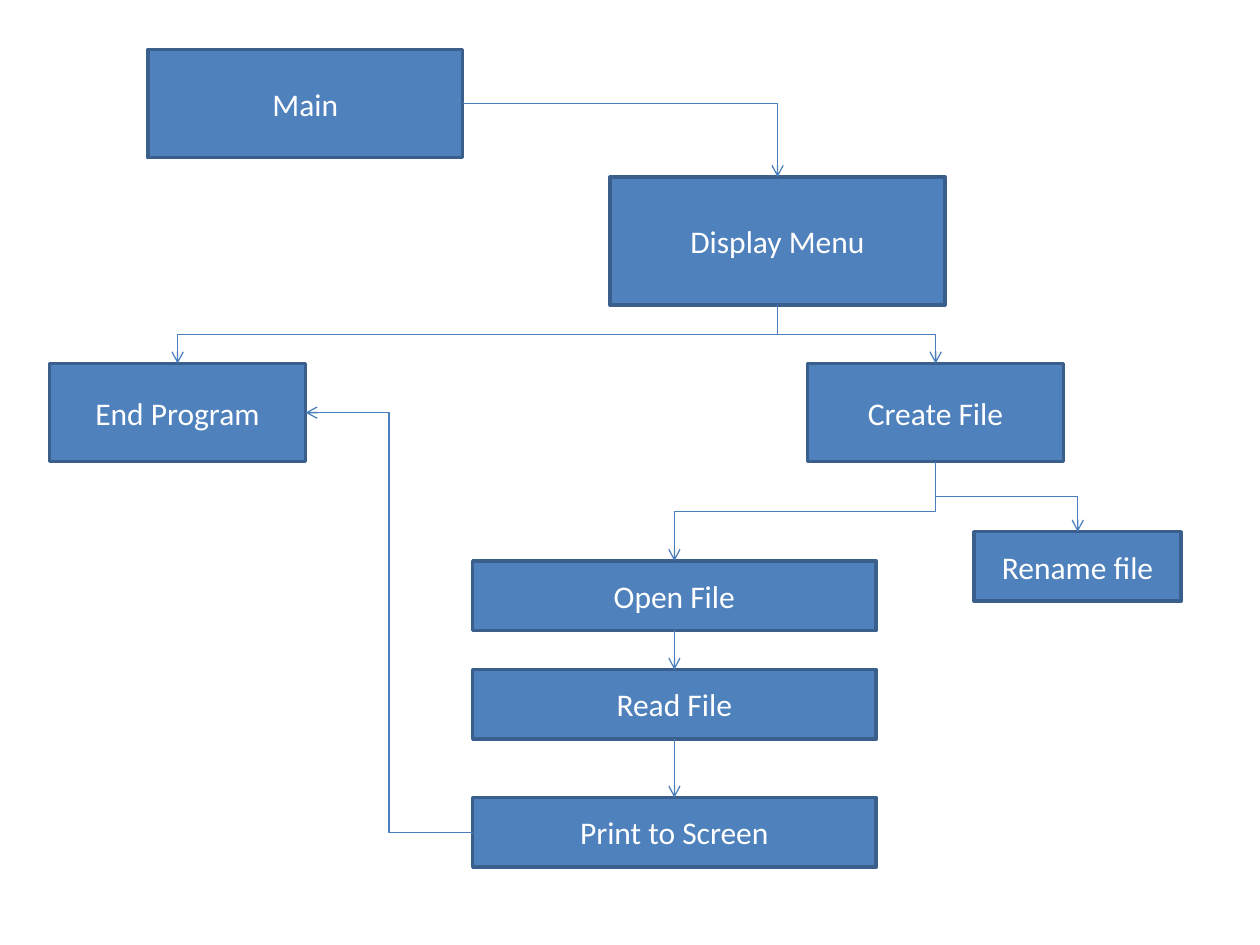
from dataclasses import dataclass

from lxml import etree
from pptx import Presentation
from pptx.dml.color import RGBColor
from pptx.enum.shapes import MSO_CONNECTOR, MSO_SHAPE
from pptx.enum.text import MSO_ANCHOR, PP_ALIGN
from pptx.oxml.ns import qn
from pptx.util import Cm, Pt

RECTANGLE = MSO_SHAPE.RECTANGLE
STRAIGHT, ELBOW = MSO_CONNECTOR.STRAIGHT, MSO_CONNECTOR.ELBOW
MIDDLE, CENTER = MSO_ANCHOR.MIDDLE, PP_ALIGN.CENTER

# Connection sites of a rectangle
TOP, LEFT, BOTTOM, RIGHT = range(4)

FILL, BORDER, ARROW, WHITE = "4F81BD", "3A5F8C", "4B7EBC", "FFFFFF"
FONT_FORMAT = {"name": "Calibri", "size": Pt(18)}
FRAME_FORMAT = {"word_wrap": True, "vertical_anchor": MIDDLE}


@dataclass(frozen=True)
class Step:
    """One box of the chart, in centimetres."""
    text: str
    left: float
    top: float
    width: float
    height: float


@dataclass(frozen=True)
class Link:
    """An arrow between the sites of two steps."""
    source: str
    target: str
    leave: int = BOTTOM
    enter: int = TOP


STACK_LEFT, STACK_WIDTH, LOW = 9.53, 8.13, 1.4
BRANCH_TOP, BRANCH_WIDTH, BRANCH_HEIGHT = 7.33, 5.16, 1.98

STEPS = [
    Step("Main", 2.98, 1.0, 6.35, 2.18),
    Step("Display Menu", 12.3, 3.57, 6.75, 2.58),
    Step("End Program", 1.0, BRANCH_TOP, BRANCH_WIDTH, BRANCH_HEIGHT),
    Step("Create File", 16.28, BRANCH_TOP, BRANCH_WIDTH, BRANCH_HEIGHT),
    Step("Rename file", 19.64, 10.72, 4.17, LOW),
    Step("Open File", STACK_LEFT, 11.31, STACK_WIDTH, LOW),
    Step("Read File", STACK_LEFT, 13.5, STACK_WIDTH, LOW),
    Step("Print to Screen", STACK_LEFT, 16.08, STACK_WIDTH, LOW),
]

LINKS = [
    Link("Main", "Display Menu", leave=RIGHT),
    Link("Display Menu", "Create File"),
    Link("Display Menu", "End Program"),
    Link("Create File", "Open File"),
    Link("Open File", "Read File"),
    Link("Read File", "Print to Screen"),
    Link("Create File", "Rename file"),
    Link("Print to Screen", "End Program", leave=LEFT, enter=RIGHT),
]


def color(value: str) -> RGBColor:
    return RGBColor.from_string(value)


def apply_format(target, values: dict) -> None:
    for name, value in values.items():
        setattr(target, name, value)


def draw_step(page, step: Step):
    box = page.shapes.add_shape(RECTANGLE, Cm(step.left), Cm(step.top),
                                Cm(step.width), Cm(step.height))
    box.shadow.inherit = False
    box.fill.solid()
    box.fill.fore_color.rgb = color(FILL)
    box.line.color.rgb = color(BORDER)
    box.line.width = Pt(2)
    apply_format(box.text_frame, FRAME_FORMAT)
    para = box.text_frame.paragraphs[0]
    para.alignment = CENTER
    span = para.add_run()
    span.text = step.text
    apply_format(span.font, FONT_FORMAT)
    span.font.color.rgb = color(WHITE)
    return box


def turn_downward(connector, run: int, drop: int) -> None:
    """Turn an elbow so that it leaves and arrives vertically."""
    middle_x = (connector.begin_x + connector.end_x) // 2
    middle_y = (connector.begin_y + connector.end_y) // 2
    apply_format(connector, {
        "left": middle_x - drop // 2, "top": middle_y - abs(run) // 2,
        "width": drop, "height": abs(run)})
    frame = connector.element.spPr.find(qn("a:xfrm"))
    frame.set("rot", str((270 if run > 0 else 90) * 60000))
    frame.set("flipH", "1" if run > 0 else "0")


def draw_link(page, link: Link, boxes: dict) -> None:
    source, target = boxes[link.source], boxes[link.target]
    vertical = link.leave == BOTTOM
    run = target.left + target.width // 2 - source.left - source.width // 2
    kind = STRAIGHT if vertical and run == 0 else ELBOW
    connector = page.shapes.add_connector(kind, 0, 0, 0, 0)
    connector.begin_connect(source, link.leave)
    connector.end_connect(target, link.enter)
    properties = connector.element.spPr

    # Route: two bends when both ends are vertical, one when they differ
    if kind == ELBOW and vertical:
        turn_downward(connector, run, connector.end_y - connector.begin_y)
    elif link.enter == TOP and not vertical:
        properties.find(qn("a:prstGeom")).set("prst", "bentConnector2")

    # Line and arrowhead
    connector.line.color.rgb = color(ARROW)
    connector.line.width = Pt(0.75)
    line = properties.find(qn("a:ln"))
    etree.SubElement(line, qn("a:tailEnd")).set("type", "arrow")
    etree.SubElement(properties, qn("a:effectLst"))


def main() -> None:
    deck = Presentation()
    deck.slide_width, deck.slide_height = Cm(25.4), Cm(19.05)
    page = deck.slides.add_slide(deck.slide_layouts[6])

    # Boxes first, then the arrows that join them
    boxes = {step.text: draw_step(page, step) for step in STEPS}
    for link in LINKS:
        draw_link(page, link, boxes)

    deck.save("out.pptx")


if __name__ == "__main__":
    main()
